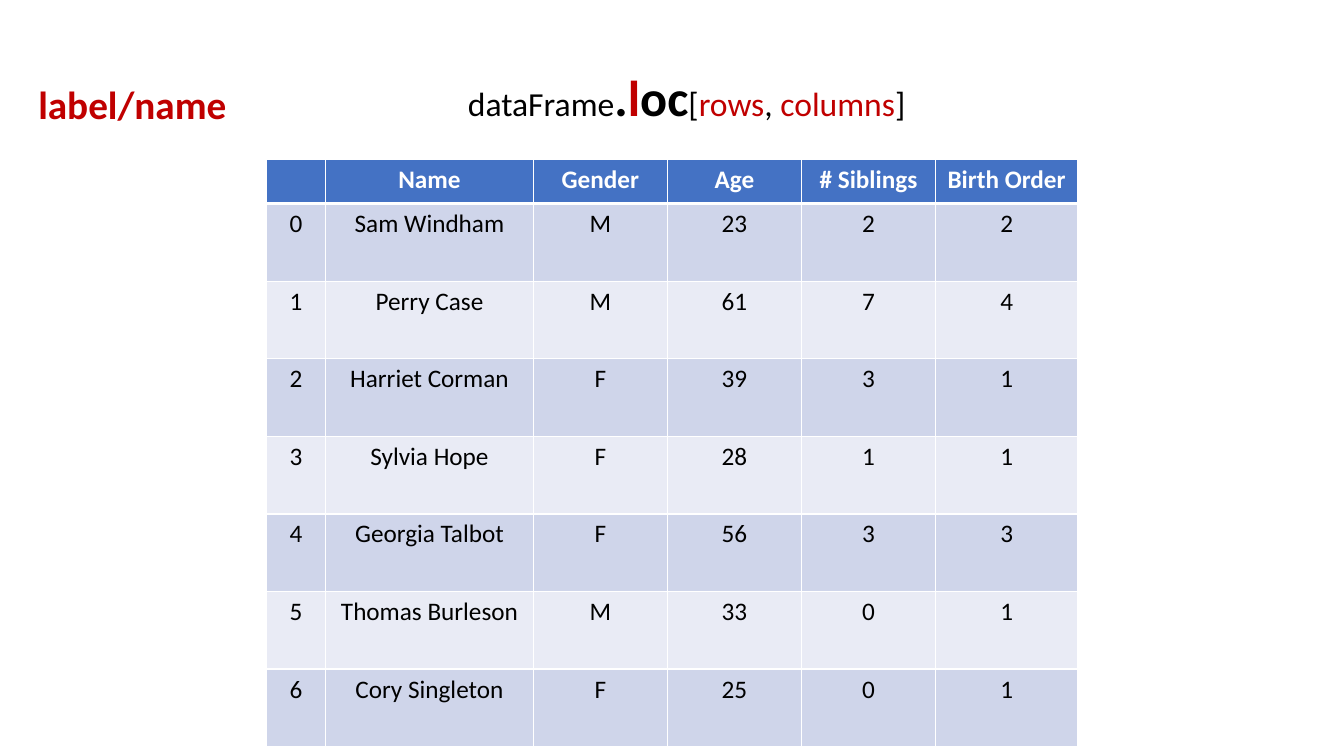
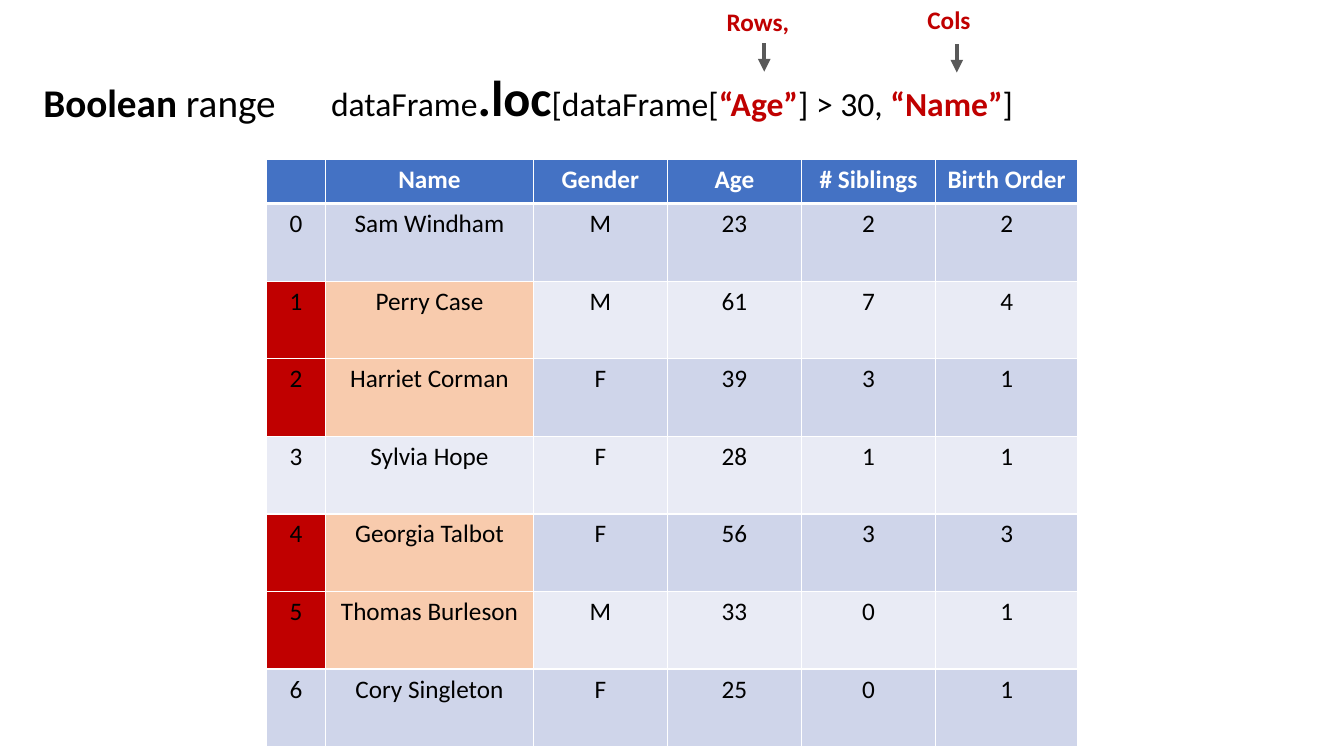
from lxml import etree
from pptx import Presentation
from pptx import util as u
from pptx.dml import color
from pptx.enum import shapes, text
from pptx.oxml import ns

RED, BLACK, WHITE = "C00000", "000000", "FFFFFF"
HEADER, BANDS, PICKED, ARROW = "4472C4", ("CFD5EA", "E9EBF5"), "F8CBAD", "595959"
FONT = "Calibri"
LEFT, CENTER = text.PP_ALIGN.LEFT, text.PP_ALIGN.CENTER
AGE_COLUMN = 3
COLUMN_WIDTHS = (0.59, 2.06, 1.33, 1.33, 1.33, 1.41)
HEADER_HEIGHT, ROW_HEIGHT = 0.44, 0.77
TABLE_CORNER = (2.64, 1.58)
PEOPLE = [
    ("", "Name", "Gender", "Age", "# Siblings", "Birth Order"),
    ("0", "Sam Windham", "M", "23", "2", "2"),
    ("1", "Perry Case", "M", "61", "7", "4"),
    ("2", "Harriet Corman", "F", "39", "3", "1"),
    ("3", "Sylvia Hope", "F", "28", "1", "1"),
    ("4", "Georgia Talbot", "F", "56", "3", "3"),
    ("5", "Thomas Burleson", "M", "33", "0", "1"),
    ("6", "Cory Singleton", "F", "25", "0", "1"),
]


def rgb(value):
    """Return the colour for a hex string."""
    return color.RGBColor.from_string(value)


def write(frame, runs, align):
    """Fill one paragraph with (words, size, colour, bold) runs."""
    paragraph = frame.paragraphs[0]
    paragraph.alignment = align
    for words, size, tint, bold in runs:
        run = paragraph.add_run()
        run.text = words
        for name, value in {"name": FONT, "size": u.Pt(size), "bold": bold}.items():
            setattr(run.font, name, value)
        run.font.color.rgb = rgb(tint)


def fit_frame(frame):
    """Give a text frame the wrapping and anchoring shared by all text."""
    settings = {"word_wrap": True, "auto_size": text.MSO_AUTO_SIZE.SHAPE_TO_FIT_TEXT,
                "vertical_anchor": text.MSO_ANCHOR.TOP}
    for name, value in settings.items():
        setattr(frame, name, value)


def add_words(slide, box, runs, align=LEFT):
    """Add a text box of formatted runs."""
    frame = slide.shapes.add_textbox(*map(u.Inches, box)).text_frame
    fit_frame(frame)
    write(frame, runs, align)


def set_title(slide, box, runs):
    """Place the slide's topic in its title placeholder."""
    title = slide.shapes.title
    for name, value in zip(("left", "top", "width", "height"), box):
        setattr(title, name, u.Inches(value))
    fit_frame(title.text_frame)
    write(title.text_frame, runs, LEFT)


def add_borders(cell, widths):
    """Draw white cell borders, given left, right, top and bottom widths."""
    properties = cell._tc.get_or_add_tcPr()
    for place, (side, width) in enumerate(zip("LRTB", widths)):
        border = etree.Element(ns.qn(f"a:ln{side}"), w=str(u.Pt(width)))
        fill = etree.SubElement(border, ns.qn("a:solidFill"))
        etree.SubElement(fill, ns.qn("a:srgbClr"), val=WHITE)
        properties.insert(place, border)


def cell_fill(row, column, min_age):
    """Choose a cell's fill from its band and the age filter."""
    if row == 0:
        return HEADER
    picked = min_age is not None and int(PEOPLE[row][AGE_COLUMN]) > min_age
    if picked and column < 2:
        return (RED, PICKED)[column]
    return BANDS[(row - 1) % 2]


def add_people_table(slide, corner, min_age=None):
    """Add the people table, marking those older than min_age."""
    heights = [HEADER_HEIGHT] + [ROW_HEIGHT] * (len(PEOPLE) - 1)
    box = (*corner, sum(COLUMN_WIDTHS), sum(heights))
    table = slide.shapes.add_table(len(PEOPLE), len(COLUMN_WIDTHS), *map(u.Inches, box)).table
    table.horz_banding = False
    for column, width in zip(table.columns, COLUMN_WIDTHS):
        column.width = u.Inches(width)
    for row, height in zip(table.rows, heights):
        row.height = u.Inches(height)
    for r, person in enumerate(PEOPLE):
        is_header = r == 0
        for c, words in enumerate(person):
            cell = table.cell(r, c)
            cell.fill.solid()
            cell.fill.fore_color.rgb = rgb(cell_fill(r, c, min_age))
            add_borders(cell, (1, 1, 3 if r == 1 else 1, 3 if is_header else 1))
            if words:
                write(cell.text_frame, [(words, 18, WHITE if is_header else BLACK, is_header)], CENTER)


def add_pointer(slide, box, words, arrow_x, arrow_y):
    """Add a red caption and a down arrow offset from its corner."""
    add_words(slide, box, [(words, 18, RED, True)])
    x, y = box[0] + arrow_x, box[1] + arrow_y
    arrow = slide.shapes.add_connector(
        shapes.MSO_CONNECTOR.STRAIGHT, *map(u.Inches, (x, y, x, y + 0.28)))
    arrow.line.color.rgb = rgb(ARROW)
    arrow.line.width = u.Pt(3)
    etree.SubElement(arrow.line._get_or_add_ln(), ns.qn("a:tailEnd"), type="triangle")
    etree.SubElement(arrow._element.spPr, ns.qn("a:effectLst"))


def add_loc_slide(deck, title_box, topic, formula_box, formula, min_age=None):
    """Add a slide with a topic, a loc formula and the people table."""
    slide = deck.slides.add_slide(deck.slide_layouts[5])
    set_title(slide, title_box, topic)
    add_people_table(slide, TABLE_CORNER, min_age)
    add_words(slide, formula_box, formula, CENTER)
    return slide


def main():
    """Build and save the deck."""
    deck = Presentation()
    deck.slide_width, deck.slide_height = u.Inches(13.33), u.Inches(7.5)
    add_loc_slide(
        deck, (0.28, 0.75, 2.81, 0.57), [("label/name", 28, RED, True)],
        (4.47, 0.61, 4.68, 0.71),
        [("dataFrame", 24, BLACK, False), (".", 36, BLACK, True), ("l", 36, RED, True),
         ("oc", 36, BLACK, True), ("[", 24, BLACK, False), ("rows", 24, RED, False),
         (", ", 24, BLACK, False), ("columns", 24, RED, False), ("]", 24, BLACK, False)])
    boolean = add_loc_slide(
        deck, (0.33, 0.73, 2.61, 0.57),
        [("Boolean", 28, BLACK, True), (" range", 28, BLACK, False)],
        (3.09, 0.61, 7.15, 0.71),
        [("dataFrame", 24, BLACK, False), (".loc", 36, BLACK, True),
         ("[dataFrame[", 24, BLACK, False), ("“Age”", 24, RED, True),
         ("] > 30, ", 24, BLACK, False), ("“Name”", 24, RED, True),
         ("]", 24, BLACK, False)],
        min_age=30)
    add_pointer(boolean, (7.11, 0.01, 0.83, 0.4), "Rows,", 0.47, 0.42)
    add_pointer(boolean, (9.1, -0.01, 0.76, 0.4), "Cols", 0.39, 0.45)
    deck.save("out.pptx")


if __name__ == "__main__":
    main()
